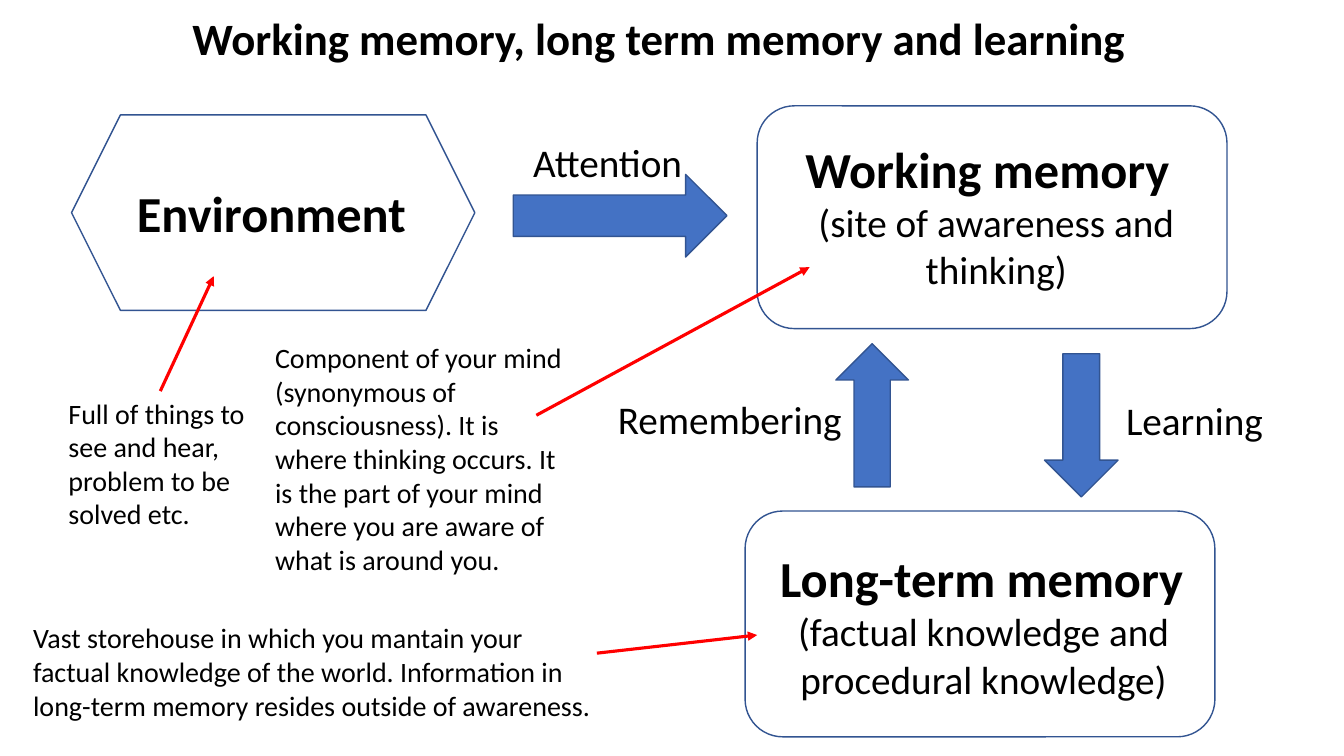
"""Builds a slide on working memory, long-term memory and learning."""
import pptx
import pptx.dml.color
import pptx.enum.shapes
import pptx.enum.text
import pptx.oxml.ns
import pptx.util
from lxml import etree

Inches = pptx.util.Inches
Preset = pptx.enum.shapes.MSO_SHAPE
BLACK = pptx.dml.color.RGBColor(0x00, 0x00, 0x00)
RED = pptx.dml.color.RGBColor(0xFF, 0x00, 0x00)
BLUE = pptx.dml.color.RGBColor(0x44, 0x72, 0xC4)
DARK_BLUE = pptx.dml.color.RGBColor(0x32, 0x54, 0x91)

presentation = pptx.Presentation()
presentation.slide_width = Inches(13.33)
presentation.slide_height = Inches(7.5)
slide = presentation.slides.add_slide(presentation.slide_layouts[6])


def add_outlined(preset, box):
    shape = slide.shapes.add_shape(preset, *map(Inches, box))
    shape.shadow.inherit = False
    shape.line.color.rgb = DARK_BLUE
    shape.line.width = pptx.util.Pt(1)
    return shape


def add_text(box, lines, wrap=True):
    frame = slide.shapes.add_textbox(*map(Inches, box)).text_frame
    frame.word_wrap = wrap
    for index, (text, size, bold) in enumerate(lines):
        paragraph = frame.paragraphs[0] if index == 0 else frame.add_paragraph()
        paragraph.text = text
        if index > 0:
            paragraph.alignment = pptx.enum.text.PP_ALIGN.CENTER
        paragraph.font.name = "Calibri"
        paragraph.font.size = pptx.util.Pt(size)
        paragraph.font.bold = bold
        paragraph.font.color.rgb = BLACK


for preset, box in [
    (Preset.ROUNDED_RECTANGLE, (7.51, 1.05, 4.66, 2.21)),
    (Preset.ROUNDED_RECTANGLE, (7.39, 5.07, 4.66, 2.24)),
    (Preset.HEXAGON, (0.71, 1.14, 4, 1.94)),
]:
    add_outlined(preset, box).fill.background()

for preset, box in [
    (Preset.RIGHT_ARROW, (5.09, 1.73, 2.12, 0.82)),
    (Preset.DOWN_ARROW, (10.36, 3.51, 0.73, 1.42)),
    (Preset.UP_ARROW, (8.29, 3.41, 0.72, 1.42)),
]:
    block_arrow = add_outlined(preset, box)
    block_arrow.fill.solid()
    block_arrow.fill.fore_color.rgb = BLUE

add_text((7.89, 1.32, 3.98, 1.65), [
    ("Working memory", 36, True),
    ("(site of awareness and thinking)", 28, False),
])
add_text((7.64, 5.38, 4.23, 1.65), [
    ("Long-term memory", 36, True),
    ("(factual knowledge and procedural knowledge)", 28, False),
])

for box, label, size, bold in [
    ((1.81, 0.06, 9.91, 0.64), "Working memory, long term memory and learning", 32, True),
    ((1.26, 1.76, 2.9, 0.71), "Environment", 36, True),
    ((5.19, 1.32, 1.71, 0.57), "Attention", 28, False),
    ((6.03, 3.87, 2.44, 0.57), "Remembering", 28, False),
    ((11.07, 3.88, 1.57, 0.57), "Learning", 28, False),
]:
    add_text(box, [(label, size, bold)], wrap=False)

for box, note, start, end in [
    ((0.58, 3.88, 2.02, 1.45),
     "Full of things to see and hear, problem to be solved etc.",
     (1.59, 3.88), (2.12, 2.74)),
    ((2.63, 3.33, 3.13, 2.46),
     "Component of your mind (synonymous of consciousness). It is where thinking occurs. "
     "It is the part of your mind where you are aware of what is around you.",
     (5.32, 4.12), (8.03, 2.65)),
    ((0.23, 6.11, 5.8, 1.11),
     "Vast storehouse in which you mantain your factual knowledge of the world. "
     "Information in long-term memory resides outside of awareness.",
     (5.92, 6.48), (7.51, 6.3)),
]:
    add_text(box, [(note, 20, False)])
    pointer = slide.shapes.add_connector(
        pptx.enum.shapes.MSO_CONNECTOR.STRAIGHT, *map(Inches, start + end))
    pointer.line.color.rgb = RED
    pointer.line.width = pptx.util.Pt(2.25)
    etree.SubElement(pointer.line._get_or_add_ln(), pptx.oxml.ns.qn("a:tailEnd"), type="triangle")
    etree.SubElement(pointer._element.spPr, pptx.oxml.ns.qn("a:effectLst"))

presentation.save("out.pptx")
